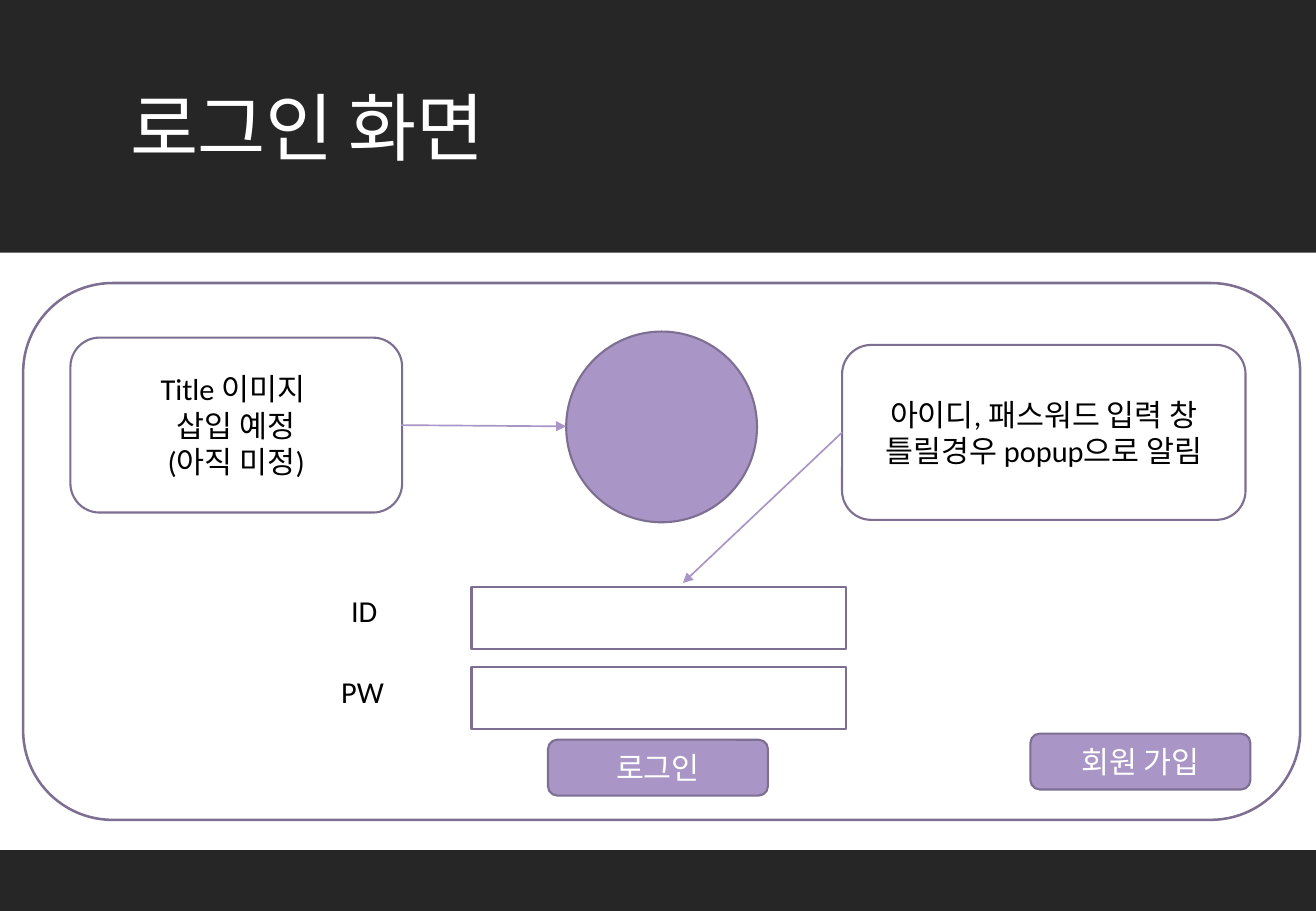
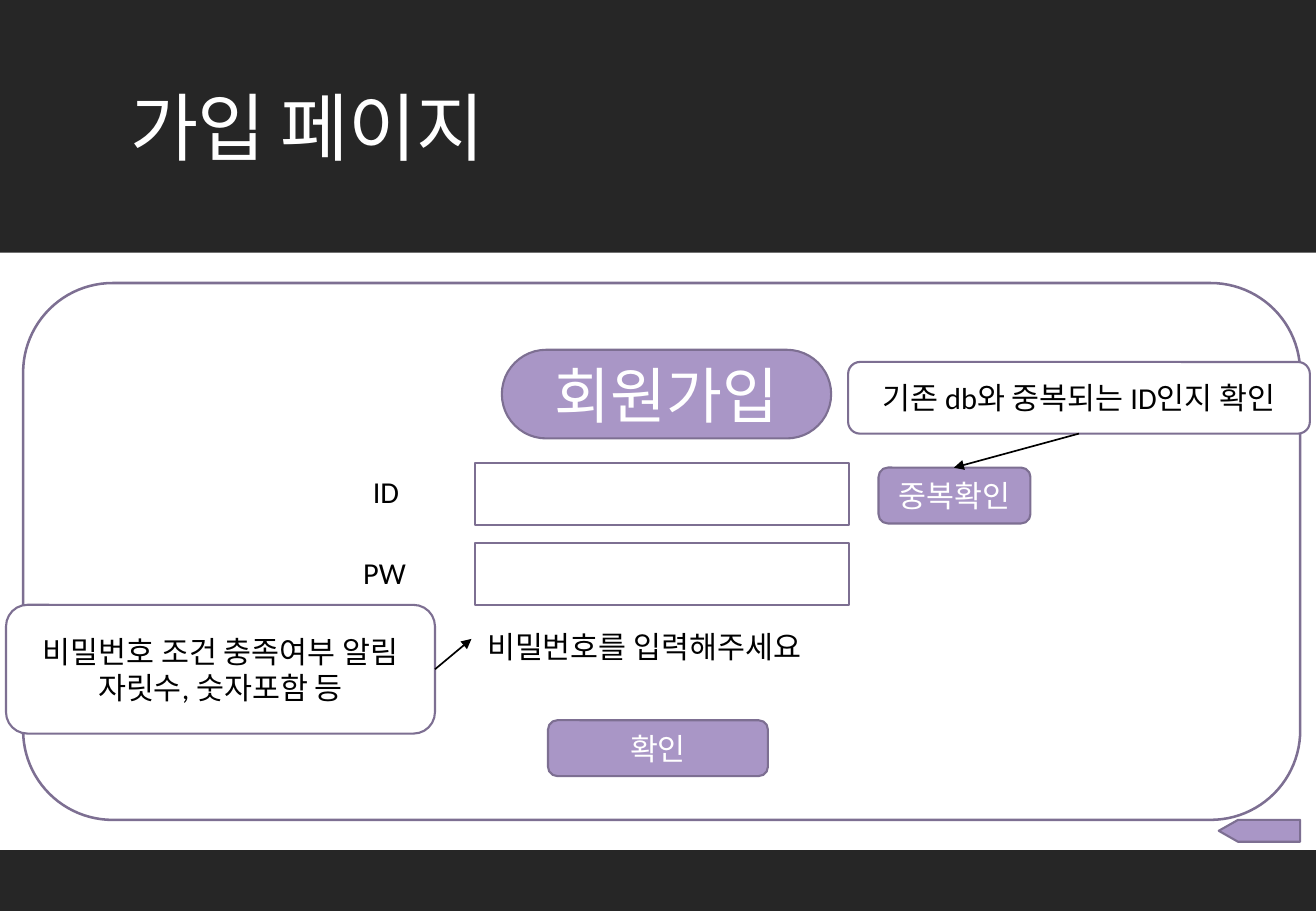
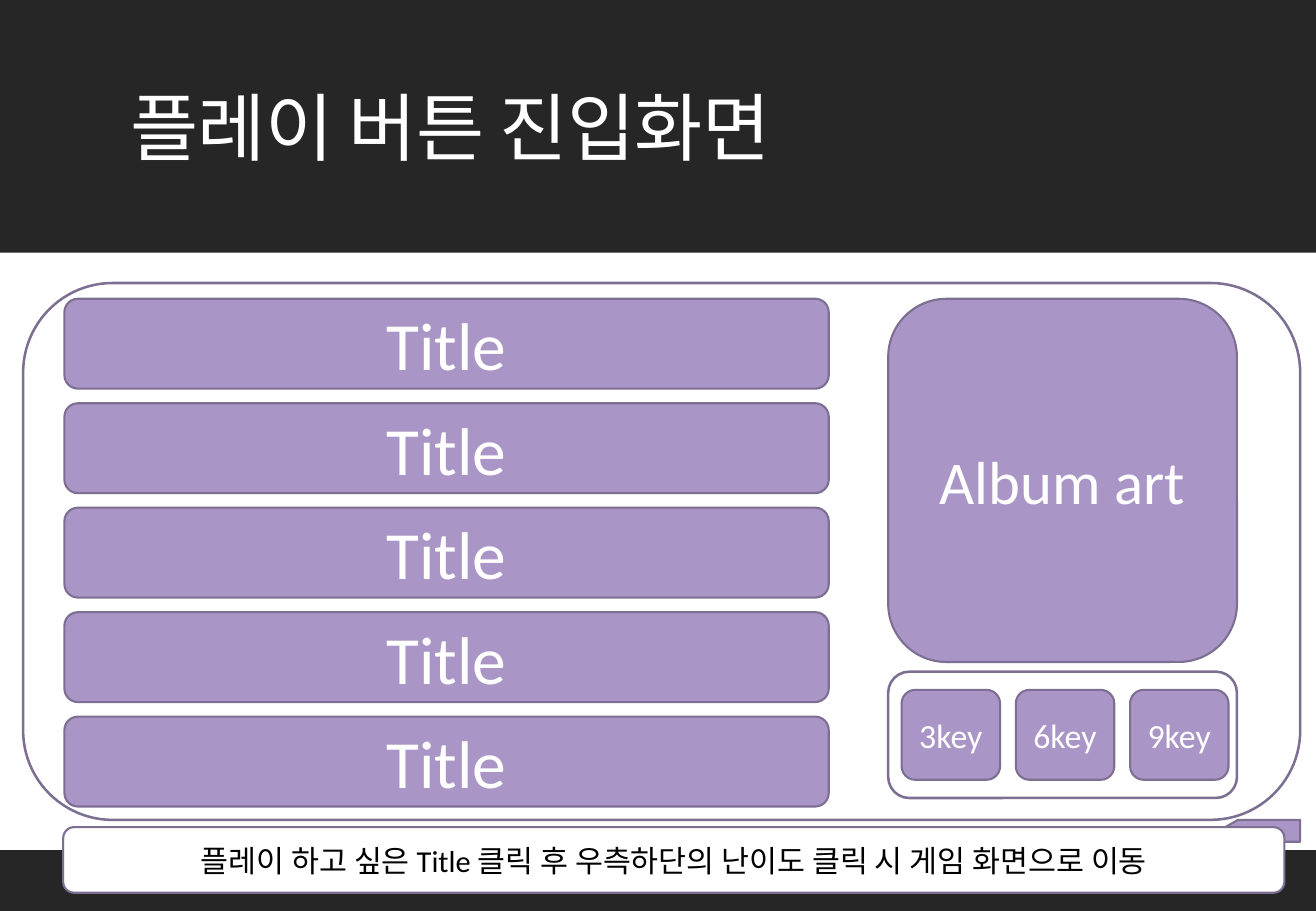
import dataclasses

import pptx
import pptx.dml.color
import pptx.enum.shapes
import pptx.enum.text
import pptx.oxml
import pptx.oxml.ns
import pptx.util

Inches = pptx.util.Inches
Pt = pptx.util.Pt
SHAPE = pptx.enum.shapes.MSO_SHAPE
ALIGN = pptx.enum.text.PP_ALIGN
ANCHOR = pptx.enum.text.MSO_ANCHOR
AUTO_SIZE = pptx.enum.text.MSO_AUTO_SIZE


@dataclasses.dataclass(frozen=True)
class Theme:
    """Colours, type sizes and line widths of the deck."""
    font: str = "Calibri"
    white: str = "FFFFFF"
    black: str = "000000"
    band: str = "262626"
    accent: str = "A996C6"
    outline: str = "7D6F92"
    title: float = 43.9
    row: float = 40
    heading: float = 36
    key: float = 20
    body: float = 18
    frame_width: float = 1.5
    shape_width: float = 1.25
    arrow_width: float = 1


def rgb(value):
    """Turn a hex string into a colour."""
    return pptx.dml.color.RGBColor.from_string(value)


class Deck:
    """Holds the presentation, its theme and the current slide."""

    def __init__(self, theme):
        """Start an empty presentation."""
        self.theme = theme
        self.prs = pptx.Presentation()
        self.prs.slide_width = Inches(10.83)
        self.prs.slide_height = Inches(7.5)
        self.s = None

    def set_text(self, sp, text, size, color, align):
        """Set a shape's text and format every run."""
        tf = sp.text_frame
        tf.word_wrap = True
        tf.text = text
        for p in tf.paragraphs:
            p.alignment = align
            for r in p.runs:
                r.font.name = self.theme.font
                r.font.size = Pt(size)
                r.font.color.rgb = rgb(color)
        return tf

    def shape(self, kind, left, top, width, height, fill=None, line=None,
              line_width=None, adjust=()):
        """Add a preset shape; no fill or line unless given."""
        sp = self.s.shapes.add_shape(kind, Inches(left), Inches(top),
                                     Inches(width), Inches(height))
        sp.shadow.inherit = False
        for i, value in enumerate(adjust):
            sp.adjustments[i] = value
        if fill:
            sp.fill.solid()
            sp.fill.fore_color.rgb = rgb(fill)
        else:
            sp.fill.background()
        if line:
            sp.line.color.rgb = rgb(line)
            sp.line.width = Pt(line_width or self.theme.shape_width)
        else:
            sp.line.fill.background()
        return sp

    def slide(self, title):
        """Add a slide with its bands, title and screen frame."""
        t = self.theme
        self.s = self.prs.slides.add_slide(self.prs.slide_layouts[5])
        self.s.background.fill.solid()
        self.s.background.fill.fore_color.rgb = rgb(t.white)
        self.shape(SHAPE.RECTANGLE, 0, 0, 10.83, 2.08, t.band)
        self.title(title)
        self.shape(SHAPE.RECTANGLE, 0, 7, 10.83, 0.5, t.band)
        self.frame(0.19, 2.33, 10.51, 4.42)

    def title(self, text):
        """Place the title placeholder above the top band."""
        sp = self.s.shapes.title
        self.s.shapes.element.append(sp.element)
        sp.left, sp.top = Inches(0.97), Inches(0.31)
        sp.width, sp.height = Inches(8.94), Inches(1.59)
        tf = self.set_text(sp, text, self.theme.title, self.theme.white,
                           ALIGN.LEFT)
        tf.auto_size = AUTO_SIZE.NONE
        tf.vertical_anchor = ANCHOR.MIDDLE
        tf.paragraphs[0].line_spacing = 0.8
        for props in sp.element.iter(pptx.oxml.ns.qn("a:rPr")):
            props.set("spc", "-40")

    def frame(self, left, top, width, height):
        """Add an unfilled rounded frame."""
        self.shape(SHAPE.ROUNDED_RECTANGLE, left, top, width, height,
                   line=self.theme.outline, line_width=self.theme.frame_width)

    def box(self, text, left, top, width, height, fill, color, size, adjust=()):
        """Add a rounded box with centred text."""
        sp = self.shape(SHAPE.ROUNDED_RECTANGLE, left, top, width, height,
                        fill, self.theme.outline, adjust=adjust)
        tf = self.set_text(sp, text, size, color, ALIGN.CENTER)
        tf.vertical_anchor = ANCHOR.MIDDLE
        tf.margin_left = tf.margin_right = Inches(0.05)

    def button(self, text, left, top, width, height=0.46, size=None, adjust=()):
        """Add a filled button with white text."""
        self.box(text, left, top, width, height, self.theme.accent,
                 self.theme.white, size or self.theme.body, adjust)

    def callout(self, text, left, top, width, height):
        """Add a white note with black text."""
        self.box(text, left, top, width, height, self.theme.white,
                 self.theme.black, self.theme.body)

    def label(self, text, left, top, width):
        """Add a plain line of text."""
        sp = self.s.shapes.add_textbox(Inches(left), Inches(top),
                                       Inches(width), Inches(0.4))
        tf = self.set_text(sp, text, self.theme.body, self.theme.black,
                           ALIGN.LEFT)
        tf.auto_size = AUTO_SIZE.SHAPE_TO_FIT_TEXT

    def login_fields(self, field_left, field_top, label_left, label_top):
        """Add the ID and PW labels with their input fields."""
        step = 0.66
        for i, (text, shift, width) in enumerate(
                [("ID", 0, 0.45), ("PW", -0.08, 0.68)]):
            self.label(text, label_left + shift, label_top + i * step, width)
            self.shape(SHAPE.RECTANGLE, field_left, field_top + i * step,
                       3.08, 0.51, line=self.theme.outline)

    def arrow(self, start, end, color):
        """Add a straight arrow between two points."""
        x1, y1, x2, y2 = (Inches(v) for v in (*start, *end))
        cxn = self.s.shapes.add_connector(
            pptx.enum.shapes.MSO_CONNECTOR.STRAIGHT, x1, y1, x2, y2)
        cxn.line.color.rgb = rgb(color)
        cxn.line.width = Pt(self.theme.arrow_width)
        props = cxn.element.spPr
        ln = props.find(pptx.oxml.ns.qn("a:ln"))
        ns = pptx.oxml.ns.nsdecls("a")
        ln.append(pptx.oxml.parse_xml(f'<a:tailEnd {ns} type="triangle"/>'))
        props.append(pptx.oxml.parse_xml(f"<a:effectLst {ns}/>"))

    def back_arrow(self):
        """Add the back button under the frame's right corner."""
        self.shape(SHAPE.LEFT_ARROW, 10.03, 6.75, 0.67, 0.18, self.theme.accent,
                   self.theme.outline, adjust=(1, 0.88))


def login_slide(deck):
    """Build the login screen."""
    t = deck.theme
    deck.slide("로그인 화면")
    deck.login_fields(3.88, 4.83, 2.79, 4.83)
    deck.shape(SHAPE.OVAL, 4.66, 2.73, 1.57, 1.57, t.accent, t.outline)
    deck.callout("Title 이미지 \n삽입 예정\n(아직 미정)", 0.58, 2.78, 2.73, 1.44)
    deck.arrow((3.3, 3.5), (4.66, 3.51), t.accent)
    deck.callout("아이디, 패스워드 입력 창\n틀릴경우 popup으로 알림",
                 6.93, 2.84, 3.32, 1.44)
    deck.arrow((6.93, 3.56), (5.62, 4.8), t.accent)
    deck.button("회원 가입", 8.48, 6.04, 1.81)
    deck.button("로그인", 4.51, 6.09, 1.81)


def sign_up_slide(deck):
    """Build the sign-up page."""
    t = deck.theme
    deck.slide("가입 페이지")
    deck.button("회원가입", 4.13, 2.88, 2.71, 0.73, t.heading, (0.5,))
    deck.button("확인", 4.51, 5.93, 1.81)
    deck.back_arrow()
    deck.button("중복확인", 7.23, 3.85, 1.25)
    deck.login_fields(3.91, 3.81, 2.97, 3.85)
    deck.label("비밀번호를 입력해주세요", 3.91, 5.12, 3.08)
    deck.callout("비밀번호 조건 충족여부 알림\n자릿수, 숫자포함 등",
                 0.05, 4.98, 3.53, 1.06)
    deck.arrow((3.58, 5.51), (3.88, 5.26), t.black)
    deck.callout("기존 db와 중복되는 ID인지 확인", 6.98, 2.98, 3.8, 0.59)
    deck.arrow((8.88, 3.57), (7.85, 3.85), t.black)


def play_slide(deck):
    """Build the song selection screen."""
    t = deck.theme
    corner = (0.15,)
    deck.slide("플레이 버튼 진입화면")
    for i in range(5):
        deck.button("Title", 0.53, 2.46 + i * 0.86, 6.29, 0.74, t.row, corner)
    deck.button("Album art", 7.31, 2.46, 2.87, 2.99, t.heading)
    deck.back_arrow()
    deck.callout("플레이 하고 싶은 Title 클릭 후 우측하단의 난이도 클릭 시 게임 화면으로 이동",
                 0.52, 6.81, 10.05, 0.54)
    for i, text in enumerate(["3key", "6key", "9key"]):
        deck.button(text, 7.42 + i * 0.94, 5.68, 0.81, 0.74, t.key, corner)
    deck.frame(7.31, 5.53, 2.87, 1.04)


def main():
    """Build and save the deck."""
    deck = Deck(Theme())
    login_slide(deck)
    sign_up_slide(deck)
    play_slide(deck)
    deck.prs.save("out.pptx")


main()
